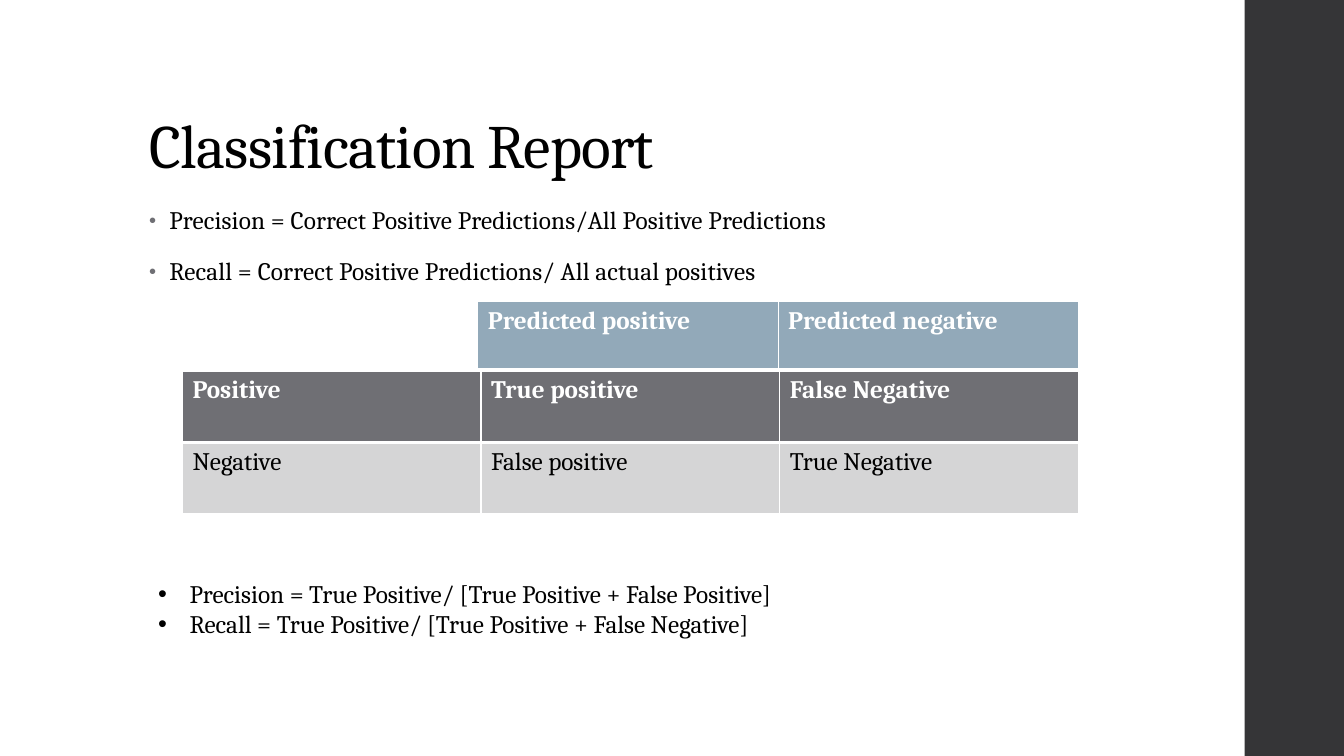
from pptx import Presentation
from pptx.dml.color import RGBColor as RGB
from pptx.enum.shapes import MSO_SHAPE as Kind
from pptx.enum.text import MSO_ANCHOR as Anchor, MSO_AUTO_SIZE as Auto, PP_ALIGN as Align
from pptx.oxml import parse_xml
from pptx.oxml.ns import nsdecls
from pptx.util import Pt

WHITE = RGB(0xFF, 0xFF, 0xFF)
BLACK = RGB(0x00, 0x00, 0x00)
DARK = RGB(0x35, 0x35, 0x37)
GRAY = RGB(0x6F, 0x6F, 0x74)
PALE = RGB(0xD5, 0xD5, 0xD6)
BLUE = RGB(0x92, 0xA9, 0xB9)


def add_run(para, text, size=18, color=BLACK, bold=False, space=0):
    run = para.add_run()
    run.text = text
    font = run.font
    font.name, font.size, font.bold = "Cambria", Pt(size), bold
    font.color.rgb = color
    if space:
        run._r.get_or_add_rPr().set("spc", str(space))


def add_xml(node, tag, inner="", attrs=""):
    node.append(parse_xml(f'<a:{tag} {nsdecls("a")} {attrs}>{inner}</a:{tag}>'))


deck = Presentation()
deck.slide_width, deck.slide_height = Pt(960), Pt(540)
slide = deck.slides.add_slide(deck.slide_layouts[5])
shapes = slide.shapes

# Side band
band = shapes.add_shape(Kind.RECTANGLE, Pt(889), 0, Pt(72), Pt(540))
band.shadow.inherit = False
band.fill.solid()
band.fill.fore_color.rgb = DARK
band.line.fill.background()

# Title
title = shapes.title
title.left, title.top, title.width, title.height = Pt(99.4), Pt(28.8), Pt(763), Pt(104.4)
frame = title.text_frame
frame.auto_size, frame.word_wrap = Auto.NONE, True
frame.vertical_anchor = Anchor.BOTTOM
para = frame.paragraphs[0]
para.alignment, para.line_spacing = Align.LEFT, 0.9
add_run(para, "Classification Report", 44, space=-50)

# Bullet lists: box, indent, line spacing, space before and after, tracking, bullet look, lines
lists = [
    ((99.4, 144, 677, 342.7), 14.4, 0.95, 14, 2, 10, (GRAY, 80), [
        "Precision = Correct Positive Predictions/All Positive Predictions",
        "Recall = Correct Positive Predictions/ All actual positives"]),
    ((105.8, 409.7, 692.6, 51), 22.5, 1.0, 0, 0, 0, (BLACK, 100), [
        "Precision = True Positive/ [True Positive + False Positive]",
        "Recall = True Positive/ [True Positive + False Negative]"]),
]
for box, indent, lead, above, below, space, (color, scale), lines in lists:
    frame = shapes.add_textbox(*map(Pt, box)).text_frame
    frame.word_wrap = True
    for i, line in enumerate(lines):
        para = frame.add_paragraph() if i else frame.paragraphs[0]
        para.line_spacing = lead
        para.space_before, para.space_after = Pt(above), Pt(below)
        props = para._p.get_or_add_pPr()
        props.set("marL", str(Pt(indent)))
        props.set("indent", str(-Pt(indent)))
        add_xml(props, "buClr", f'<a:srgbClr val="{color}"/>')
        add_xml(props, "buSzPct", attrs=f'val="{scale * 1000}"')
        add_xml(props, "buFont", attrs='typeface="Arial"')
        add_xml(props, "buChar", attrs='char="•"')
        add_run(para, line, space=space)

# Tables: box, then rows of fill, font colour, bold, bottom border and cell texts
tables = [
    ((130.3, 265, 640, 102.2), [
        (GRAY, WHITE, True, 3, ["Positive", "True positive", "False Negative"]),
        (PALE, BLACK, False, 1, ["Negative", "False positive", "True Negative"])]),
    ((341.3, 215.3, 429, 49), [
        (BLUE, WHITE, True, 3, ["Predicted positive", "Predicted negative"])]),
]
for box, rows in tables:
    table = shapes.add_table(len(rows), len(rows[0][4]), *map(Pt, box)).table
    for r, (fill, color, bold, base, texts) in enumerate(rows):
        for c, text in enumerate(texts):
            cell = table.cell(r, c)
            props = cell._tc.get_or_add_tcPr()
            for side, width in zip("LRTB", (1, 1, 1, base)):
                add_xml(props, "ln" + side,
                        f'<a:solidFill><a:srgbClr val="{WHITE}"/></a:solidFill>',
                        f'w="{Pt(width)}"')
            cell.fill.solid()
            cell.fill.fore_color.rgb = fill
            add_run(cell.text_frame.paragraphs[0], text, color=color, bold=bold)

deck.save("out.pptx")
